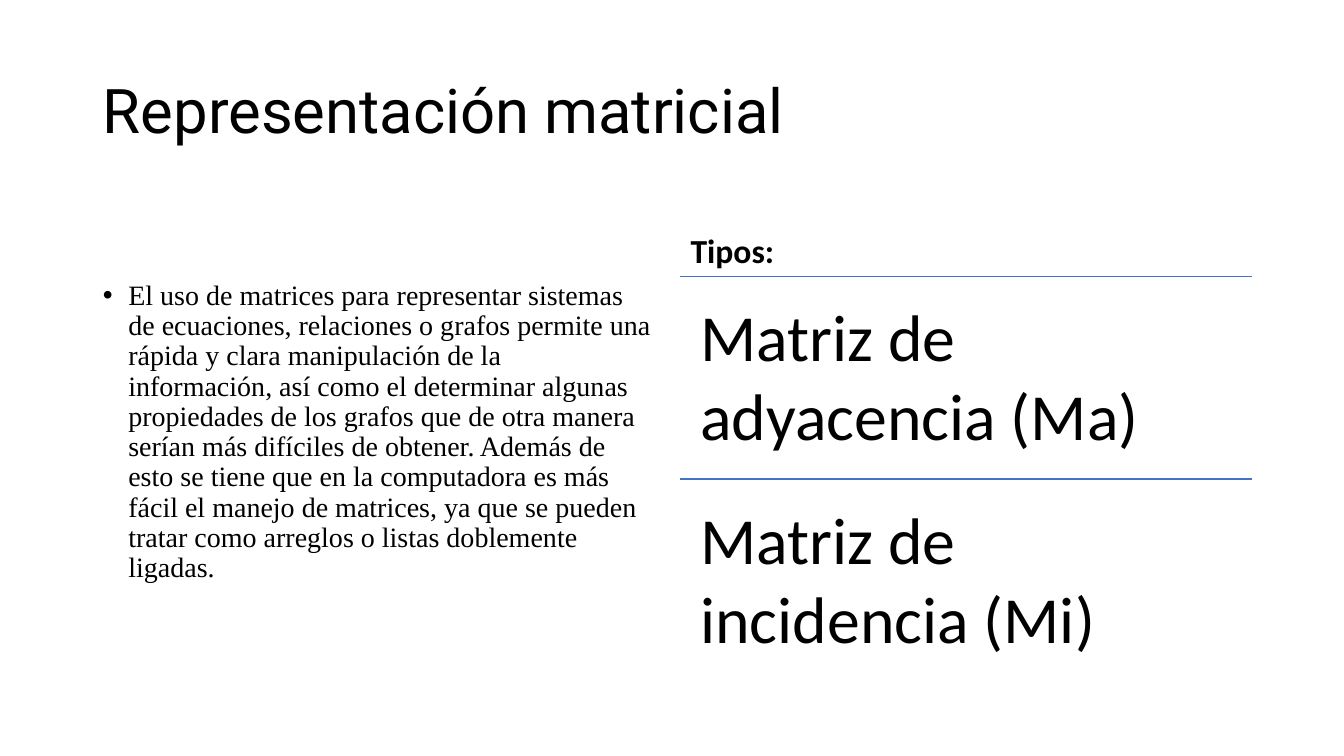
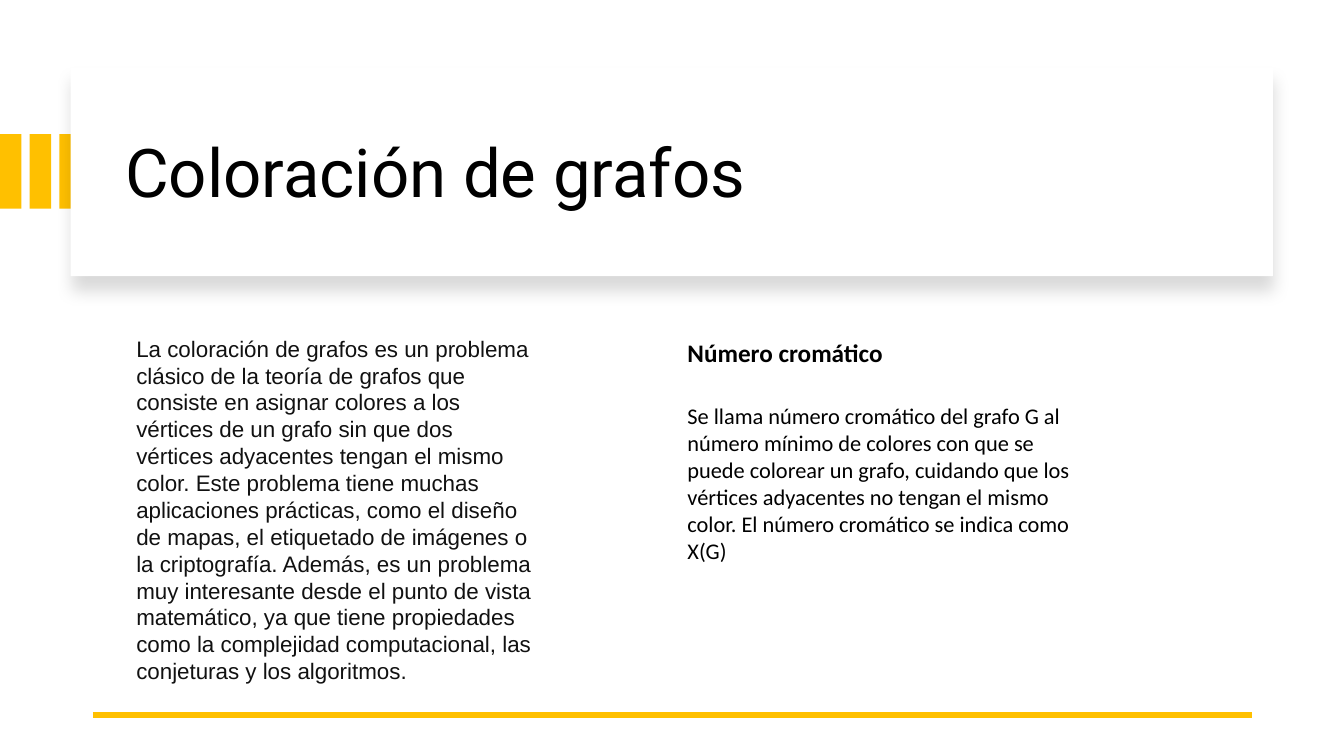
import pptx
import pptx.dml.color
import pptx.enum.shapes
import pptx.enum.text
import pptx.oxml
import pptx.oxml.ns
import pptx.util
from lxml import etree

Cm, Pt = pptx.util.Cm, pptx.util.Pt
RGBColor = pptx.dml.color.RGBColor
Anchor = pptx.enum.text.MSO_ANCHOR
RECTANGLE = pptx.enum.shapes.MSO_SHAPE.RECTANGLE
STRAIGHT = pptx.enum.shapes.MSO_CONNECTOR.STRAIGHT
qn = pptx.oxml.ns.qn

BLACK = RGBColor(0x00, 0x00, 0x00)
CHARCOAL = RGBColor(0x11, 0x11, 0x11)
WHITE = RGBColor(0xFF, 0xFF, 0xFF)
BLUE = RGBColor(0x44, 0x72, 0xC4)
AMBER = RGBColor(0xFF, 0xC0, 0x00)

COMPARISON_LAYOUT = 4
BULLET_INDENT = Cm(0.64)
CARD_SHADOW = (
    f'<a:effectLst {pptx.oxml.ns.nsdecls("a")}>'
    '<a:outerShdw blurRad="139700" dist="127000" dir="5400000" algn="t" rotWithShape="0">'
    '<a:srgbClr val="000000"><a:alpha val="15000"/></a:srgbClr>'
    '</a:outerShdw></a:effectLst>'
)


# Shared helpers: every box is (left, top, width, height) in centimetres
def place(shape, box):
    shape.left, shape.top, shape.width, shape.height = map(Cm, box)


def write(shape, text, font, size, color=BLACK, bold=False, bullet=False,
          anchor=Anchor.TOP, spacing=1.0, before=0, after=0):
    frame = shape.text_frame
    frame.word_wrap = True
    frame.auto_size = pptx.enum.text.MSO_AUTO_SIZE.NONE
    frame.vertical_anchor = anchor
    frame.text = text
    paragraph = frame.paragraphs[0]
    paragraph.alignment = pptx.enum.text.PP_ALIGN.LEFT
    paragraph.line_spacing = spacing
    paragraph.space_before, paragraph.space_after = Pt(before), Pt(after)
    properties = paragraph._p.get_or_add_pPr()
    indent = BULLET_INDENT if bullet else 0
    properties.set("marL", str(indent))
    properties.set("indent", str(-indent))
    if bullet:
        etree.SubElement(properties, qn("a:buFont")).set("typeface", "Arial")
        etree.SubElement(properties, qn("a:buChar")).set("char", "•")
    else:
        etree.SubElement(properties, qn("a:buNone"))
    paragraph.font.name, paragraph.font.size = font, Pt(size)
    paragraph.font.bold = bold
    paragraph.font.color.rgb = color


def add_title(slide, box, text, size):
    place(slide.shapes.title, box)
    write(slide.shapes.title, text, "Roboto", size, anchor=Anchor.MIDDLE, spacing=0.9)


def add_body(slide, index, box, text, font, size, **style):
    body = slide.placeholders[index]
    place(body, box)
    write(body, text, font, size, **style)


def add_rule(slide, left, top, width, color, weight):
    rule = slide.shapes.add_connector(
        STRAIGHT, Cm(left), Cm(top), Cm(left + width), Cm(top))
    rule.line.color.rgb = color
    rule.line.width = Pt(weight)
    etree.SubElement(rule._element.spPr, qn("a:effectLst"))


def add_block(slide, box, color):
    block = slide.shapes.add_shape(RECTANGLE, *map(Cm, box))
    block.shadow.inherit = False
    block.fill.solid()
    block.fill.fore_color.rgb = color
    block.line.fill.background()
    # Blocks lie behind the title
    slide.shapes.title.element.addprevious(block.element)
    return block


def add_slide(presentation):
    return presentation.slides.add_slide(presentation.slide_layouts[COMPARISON_LAYOUT])


def remove_empty_placeholders(slide):
    for placeholder in list(slide.placeholders):
        if not placeholder.text_frame.text:
            placeholder.element.getparent().remove(placeholder.element)


# Rows of equal height, each under a thin rule
def add_type_list(slide, box, types):
    left, top, width, height = box
    row_height = height / len(types)
    for row, name in enumerate(types):
        row_top = top + row * row_height
        add_rule(slide, left, row_top, width, BLUE, 1)
        entry = slide.shapes.add_textbox(
            Cm(left), Cm(row_top), Cm(width), Cm(row_height))
        frame = entry.text_frame
        frame.margin_left = frame.margin_right = Cm(0.5)
        frame.margin_top = frame.margin_bottom = Cm(0.5)
        write(entry, name, "Calibri", 47)


# White title card with amber stripes at the slide's edge
def add_title_card(slide, box, text):
    left, top, width, height = box
    for stripe in range(3):
        add_block(slide, (stripe * 0.75, top + 1.68, 0.54, 1.88), AMBER)
    card = add_block(slide, box, WHITE)
    properties = card._element.spPr
    properties.replace(properties.find(qn("a:effectLst")),
                       pptx.oxml.parse_xml(CARD_SHADOW))
    add_title(slide, (left + 1.12, top + 0.56, width - 2.03, height - 0.94), text, 48)


def build_matrix_slide(presentation):
    slide = add_slide(presentation)
    add_title(slide, (2.34, 1.02, 29.21, 3.68), "Representación matricial", 44)
    add_body(
        slide, 2, (2.34, 6.96, 14.33, 10.24),
        "El uso de matrices para representar sistemas de ecuaciones, relaciones o "
        "grafos permite una rápida y clara manipulación de la información, así como "
        "el determinar algunas propiedades de los grafos que de otra manera serían "
        "más difíciles de obtener. Además de esto se tiene que en la computadora es "
        "más fácil el manejo de matrices, ya que se pueden tratar como arreglos o "
        "listas doblemente ligadas.",
        "Times New Roman", 20, bullet=True, spacing=0.9, before=10)
    add_body(slide, 3, (17.15, 4.67, 14.4, 2.29), "Tipos:", "Calibri", 24,
             bold=True, anchor=Anchor.BOTTOM, spacing=0.9, before=10)
    add_type_list(slide, (17.15, 6.96, 14.4, 10.22),
                  ["Matriz de adyacencia (Ma)", "Matriz de incidencia (Mi)"])
    remove_empty_placeholders(slide)


def build_coloring_slide(presentation):
    slide = add_slide(presentation)
    add_title_card(slide, (1.78, 1.7, 30.3, 5.26), "Coloración de grafos")
    add_body(
        slide, 2, (3.18, 8.31, 10.54, 7.29),
        "La coloración de grafos es un problema clásico de la teoría de grafos que "
        "consiste en asignar colores a los vértices de un grafo sin que dos vértices "
        "adyacentes tengan el mismo color. Este problema tiene muchas aplicaciones "
        "prácticas, como el diseño de mapas, el etiquetado de imágenes o la "
        "criptografía. Además, es un problema muy interesante desde el punto de "
        "vista matemático, ya que tiene propiedades como la complejidad "
        "computacional, las conjeturas y los algoritmos.",
        "Arial", 16, color=CHARCOAL, after=6)
    add_body(slide, 3, (17.07, 8.38, 10.26, 1.63), "Número cromático",
             "Calibri", 18, bold=True, after=6)
    add_body(
        slide, 4, (17.07, 10.01, 10.26, 7.29),
        "Se llama número cromático del grafo G al número mínimo de colores con que "
        "se puede colorear un grafo, cuidando que los vértices adyacentes no tengan "
        "el mismo color. El número cromático se indica como X(G)",
        "Calibri", 16, after=6)
    add_rule(slide, 2.34, 18.01, 29.21, AMBER, 4.5)
    remove_empty_placeholders(slide)


def main():
    presentation = pptx.Presentation()
    presentation.slide_width, presentation.slide_height = Cm(33.87), Cm(19.05)
    build_matrix_slide(presentation)
    build_coloring_slide(presentation)
    presentation.save("out.pptx")


if __name__ == "__main__":
    main()
